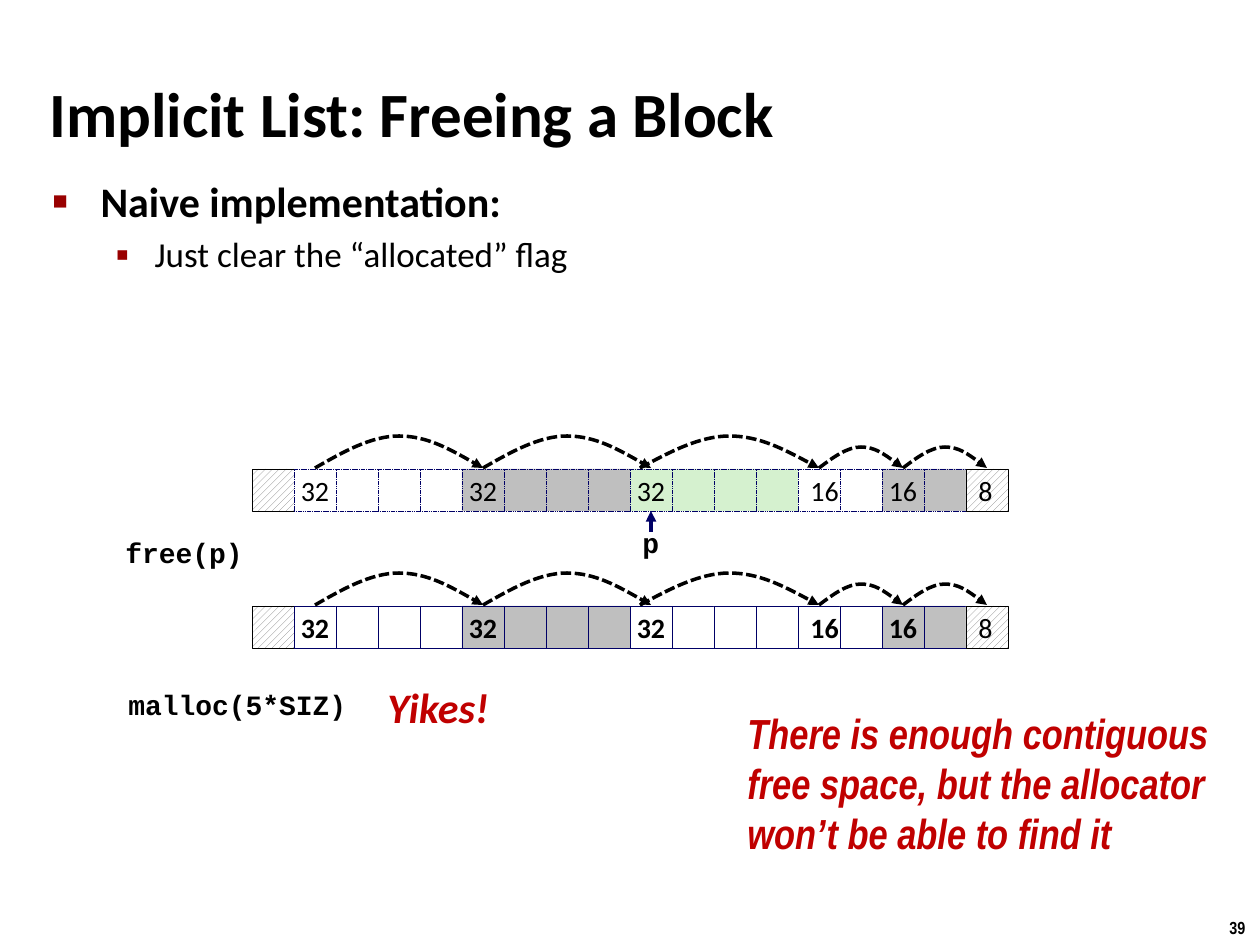
from lxml import etree
from pptx import Presentation, util as u
from pptx.dml.color import RGBColor
from pptx.enum import dml, shapes, text
from pptx.oxml import ns

BLACK, NAVY, RED, MAROON = "000000", "000066", "C00000", "990000"
WHITE, GREY, SILVER, GREEN = "FFFFFF", "BFBFBF", "C0C0C0", "D5F1CF"
CELL = 42
HOPS = [(63, 231, 32), (231, 399, 32), (388, 567, 32), (567, 651, 21), (651, 735, 21)]


def px(length):
    """Turn px into EMU."""
    return round(length * 914400 / 126)


def color(value):
    """Turn a hex string into a colour."""
    return RGBColor.from_string(value)


def add_element(parent, tag, **attributes):
    """Append a drawing element to a parent."""
    return etree.SubElement(parent, ns.qn(tag), attributes)


def set_font(paragraph, name, size, ink=BLACK, bold=True, italic=False):
    """Format all the text of a paragraph."""
    font = paragraph.font
    font.name, font.size, font.bold, font.italic = name, u.Pt(size), bold, italic
    font.color.rgb = color(ink)


def place(shape, left, top, width, height):
    """Move and size a shape."""
    shape.left, shape.top, shape.width, shape.height = map(px, (left, top, width, height))


def add_title(slide, box, title):
    """Fill the title placeholder."""
    shape = slide.shapes.title
    place(shape, *box)
    frame = shape.text_frame
    frame.text = title
    frame.auto_size = text.MSO_AUTO_SIZE.NONE
    frame.vertical_anchor = text.MSO_ANCHOR.MIDDLE
    frame.paragraphs[0].alignment = text.PP_ALIGN.LEFT
    set_font(frame.paragraphs[0], "Calibri", 36)


def add_bullets(slide, box, items):
    """Fill the body placeholder with bulleted paragraphs."""
    shape = slide.placeholders[1]
    place(shape, *box)
    frame = shape.text_frame
    frame.text = "\n".join(item[0] for item in items)
    frame.auto_size = text.MSO_AUTO_SIZE.NONE
    for paragraph, (_, level, margin, indent, mark, percent, size, space) in zip(frame.paragraphs, items):
        paragraph.level = level
        paragraph.space_before = u.Pt(space)
        properties = paragraph._p.get_or_add_pPr()
        properties.set("marL", str(px(margin)))
        properties.set("indent", str(px(-indent)))
        add_element(add_element(properties, "a:buClr"), "a:srgbClr", val=MAROON)
        add_element(properties, "a:buSzPct", val=str(percent * 1000))
        add_element(properties, "a:buChar", char=mark)
        set_font(paragraph, "Calibri", size, bold=level == 0)


def add_label(slide, box, lines, name, size, ink=BLACK, italic=False, spacing=1.0):
    """Add an unwrapped text box with one paragraph for each line."""
    frame = slide.shapes.add_textbox(*map(px, box)).text_frame
    frame.word_wrap = False
    for index, line in enumerate(lines):
        paragraph = frame.add_paragraph() if index else frame.paragraphs[0]
        paragraph.text = line
        paragraph.line_spacing = spacing
        set_font(paragraph, name, size, ink, italic=italic)


def add_cell(slide, left, top, fill, label="", bold=False, dashed=False, centered=True):
    """Add one memory word, hatched when it has no fill colour."""
    shape = slide.shapes.add_shape(shapes.MSO_SHAPE.RECTANGLE, *map(px, (left, top, CELL, CELL)))
    shape.shadow.inherit = False
    if fill:
        shape.fill.solid()
        shape.fill.fore_color.rgb = color(fill)
    else:
        shape.fill.patterned()
        shape.fill.pattern = dml.MSO_PATTERN.WIDE_UPWARD_DIAGONAL
        shape.fill.fore_color.rgb = color("808080")
        shape.fill.back_color.rgb = color(WHITE)
    shape.line.color.rgb = color(NAVY if fill else BLACK)
    shape.line.width = u.Pt(0.25)
    if dashed:
        shape.line.dash_style = dml.MSO_LINE.SQUARE_DOT
    if label:
        frame = shape.text_frame
        frame.text = label
        frame.word_wrap = False
        frame.vertical_anchor = text.MSO_ANCHOR.MIDDLE
        paragraph = frame.paragraphs[0]
        paragraph.alignment = text.PP_ALIGN.CENTER if centered else text.PP_ALIGN.LEFT
        set_font(paragraph, "Calibri", 16, bold=bold)


def style_arrow(line, ink):
    """Give a line its colour, width and arrowhead."""
    line.color.rgb = color(ink)
    line.width = u.Pt(2)
    add_element(line._get_or_add_ln(), "a:tailEnd", type="triangle")


def add_hop(slide, start, end, base, height):
    """Add a dashed curved arrow that rises and falls between two words."""
    step = (end - start) / 6
    rises = (0.5, 1, 1, 1, 0.5, 0)
    points = [(px(start + step * (index + 1)), px(base - height * rise))
              for index, rise in enumerate(rises)]
    builder = slide.shapes.build_freeform(px(start), px(base))
    builder.add_line_segments(points, close=False)
    shape = builder.convert_to_shape()
    path = shape._element.find(".//" + ns.qn("a:path"))
    segments = path.findall(ns.qn("a:lnTo"))
    for half in (segments[:3], segments[3:]):
        curve = add_element(path, "a:cubicBezTo")
        for segment in half:
            curve.append(segment[0])
            path.remove(segment)
    shape.shadow.inherit = False
    shape.fill.background()
    shape.line.dash_style = dml.MSO_LINE.SQUARE_DOT
    style_arrow(shape.line, BLACK)


def add_heap(slide, left, top, blocks, bold, dashed):
    """Draw a row of blocks between hatched end words, with its hops."""
    add_cell(slide, left, top, None)
    x = left + CELL
    for count, fill, label, centered in blocks:
        for index in range(count):
            add_cell(slide, x, top, fill, "" if index else label, bold, dashed, centered)
            x += CELL
    add_cell(slide, x, top, None, "8", centered=False)
    for start, end, height in HOPS:
        add_hop(slide, left + start, left + end, top - 1, height)


def add_pointer(slide, x, top, bottom):
    """Add a straight arrow pointing up."""
    connector = slide.shapes.add_connector(
        shapes.MSO_CONNECTOR.STRAIGHT, px(x), px(bottom), px(x), px(top))
    style_arrow(connector.line, NAVY)
    add_element(connector._element.spPr, "a:effectLst")


def main():
    """Build the slide and save it."""
    presentation = Presentation()
    presentation.slide_width, presentation.slide_height = px(1260), px(945)
    slide = presentation.slides.add_slide(presentation.slide_layouts[1])
    add_title(slide, (37, 73, 993, 79), "Implicit List: Freeing a Block")
    add_bullets(slide, (40, 169, 1145, 599), [
        ("Naive implementation:", 0, 48, 48, "■", 60, 24, 0),
        ("Just clear the “allocated” flag", 1, 102, 39, "▪", 110, 20, 4),
    ])
    for top, third_fill, bold, dashed in ((469, GREEN, False, True), (606, WHITE, True, False)):
        blocks = [(4, WHITE, "32", True), (4, GREY, "32", True), (4, third_fill, "32", True),
                  (2, WHITE, "16", False), (2, SILVER, "16", True)]
        add_heap(slide, 252, top, blocks, bold, dashed)
    add_pointer(slide, 651, 511, 532)
    for box, code in (((113, 532, 144, 45), "free(p)"), ((630, 522, 42, 45), "p"),
                      ((116, 684, 246, 45), "malloc(5*SIZ)")):
        add_label(slide, box, [code], "Courier New", 16, spacing=0.94)
    add_label(slide, (375, 674, 127, 66), ["Yikes!"], "Calibri", 24, RED, True, 1.02)
    add_label(slide, (735, 701, 518, 204), [
        "There is enough contiguous",
        "free space, but the allocator\nwon’t be able to find it",
    ], "Arial Narrow", 24, RED, True)
    add_label(slide, (1217, 911, 43, 34), ["39"], "Arial Narrow", 10)
    presentation.save("out.pptx")


if __name__ == "__main__":
    main()
